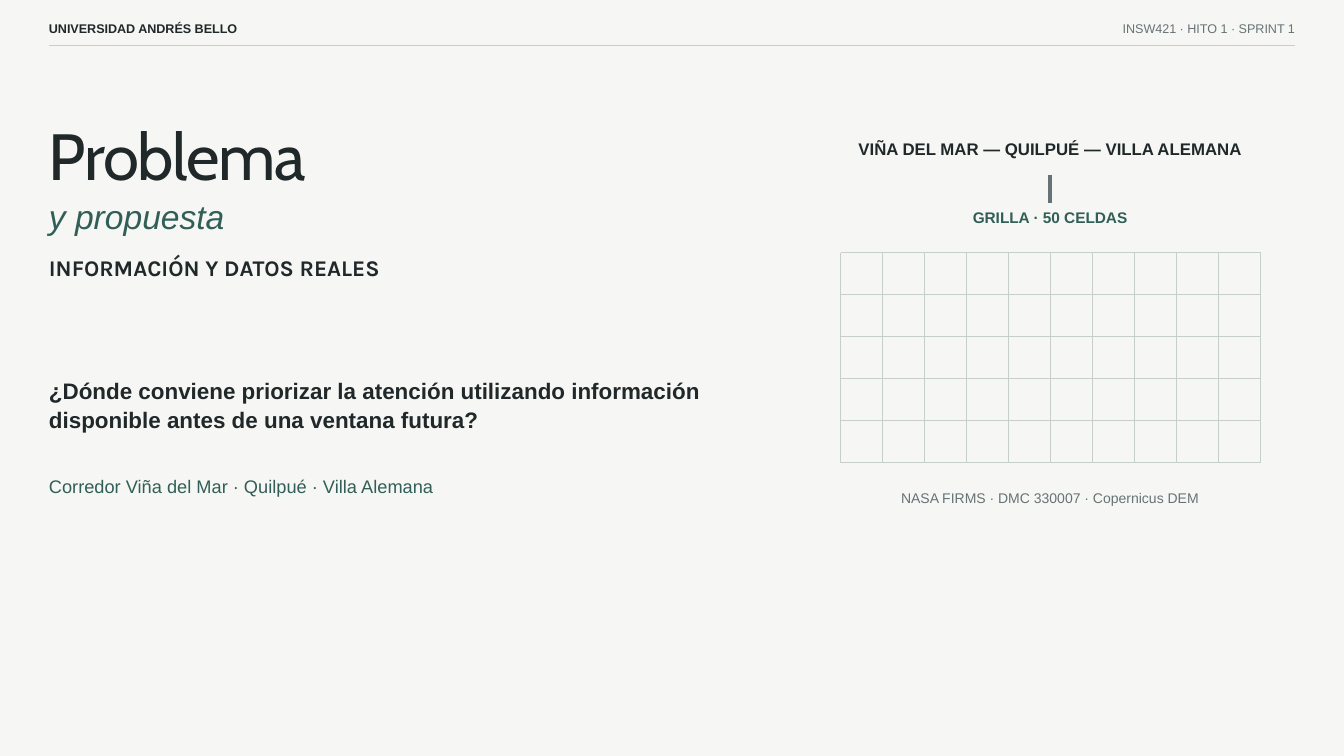
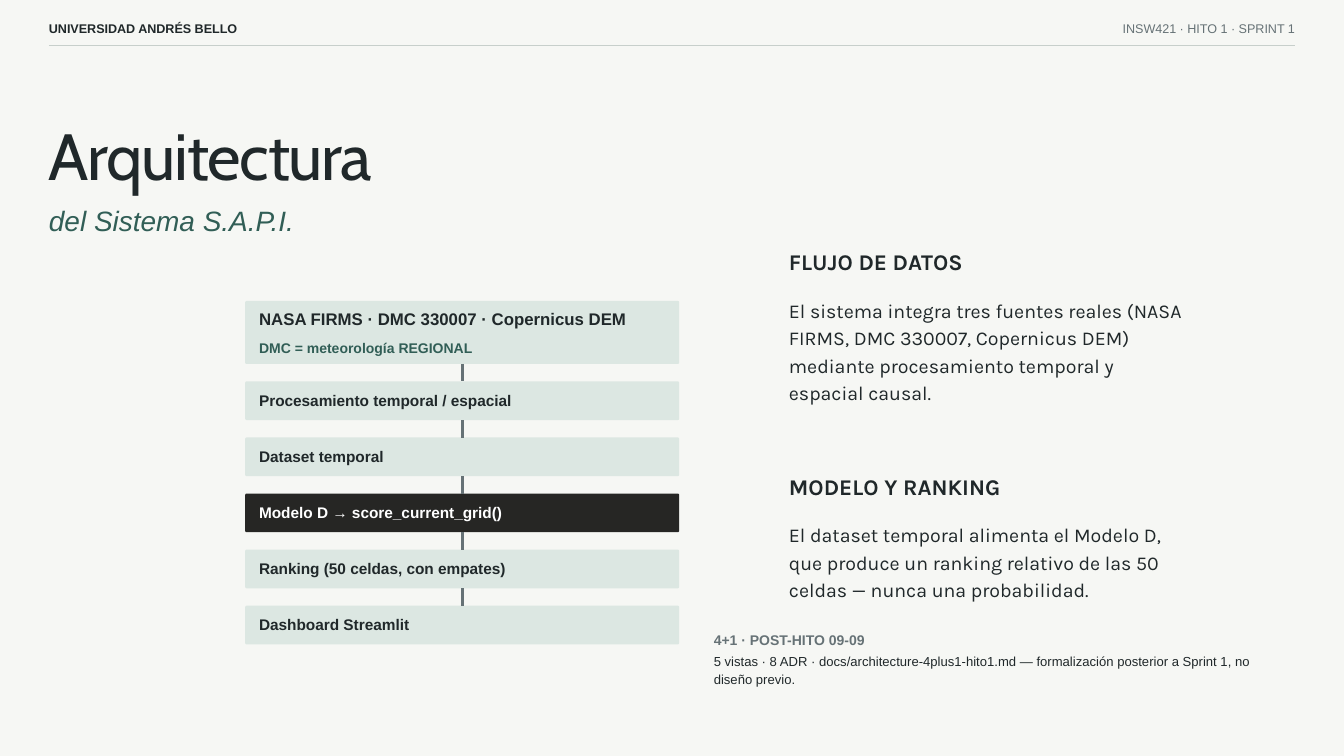
from pptx import Presentation, util as u
from pptx.dml.color import RGBColor
from pptx.enum import shapes, text
from lxml import etree

COLORS = {"paper": "F6F7F4", "ink": "20282A", "green": "315E56", "gray": "667276",
          "rule": "C7CFCB", "mint": "DCE7E2", "dark": "262624", "white": "FFFFFF"}

# name: font, size, color, emphasis (b, i), leading as a multiple of the size
STYLES = {
    "title": ("Cabin", 70, "ink", "", 1.2),
    "subtitle": ("Arial", 36, "green", "i", 1.4),
    "long subtitle": ("Arial", 30, "green", "i", 1.4),
    "heading": ("Karla", 24, "ink", "b", 1.4),
    "body": ("Karla", 21, "ink", "", 1.4),
    "question": ("Arial", 24, "ink", "b", 1.3),
    "place": ("Arial", 19.5, "green", "", 1.4),
    "lead": ("Arial", 18, "ink", "b", 1.4),
    "grid label": ("Arial", 16.5, "green", "b", 1.4),
    "sources": ("Arial", 15, "gray", "", 1.4),
    "lead detail": ("Arial", 15, "green", "b", 1.4),
    "step": ("Arial", 16.5, "ink", "b", 1.4),
    "key step": ("Arial", 16.5, "white", "b", 1.4),
    "note title": ("Arial", 15, "gray", "b", 1.4),
    "note": ("Arial", 14, "ink", "", 1.393),
    "school": ("Arial", 13.5, "ink", "b", 1.4),
    "course": ("Arial", 13.5, "gray", "", 1.4),
}
ALIGN = {"l": text.PP_ALIGN.LEFT, "c": text.PP_ALIGN.CENTER, "r": text.PP_ALIGN.RIGHT}

# All positions and lengths are in centimetres.
SLIDE_W, SLIDE_H = 50.8, 28.58
MARGIN, WIDE = 1.85, 27.13
MAP_X, MAP_W = 30.43, 18.52
ASIDE_X, ASIDE_W = 29.82, 15.14
NOTE_X, NOTE_W = 26.98, 21.17

# text, style, left, top, width, height, alignment
HEADER = [
    ("UNIVERSIDAD ANDRÉS BELLO", "school", MARGIN, 0.69, 13.23, 0.66, "l"),
    ("INSW421 · HITO 1 · SPRINT 1", "course", 35.72, 0.69, 13.23, 0.66, "r"),
]
PROBLEM = [
    ("Problema", "title", MARGIN, 4.34, WIDE, 2.95, "l"),
    ("y propuesta", "subtitle", MARGIN, 7.14, WIDE, 1.78, "l"),
    ("INFORMACIÓN Y DATOS REALES", "heading", MARGIN, 9.42, WIDE, 1.09, "l"),
    ("¿Dónde conviene priorizar la atención utilizando información disponible "
     "antes de una ventana futura?", "question", MARGIN, 14.17, WIDE, 2.18, "l"),
    ("Corredor Viña del Mar · Quilpué · Villa Alemana", "place", MARGIN, 17.83, WIDE, 0.97, "l"),
    ("VIÑA DEL MAR — QUILPUÉ — VILLA ALEMANA", "lead", MAP_X, 5.13, MAP_W, 0.91, "c"),
    ("GRILLA · 50 CELDAS", "grid label", MAP_X, 7.77, MAP_W, 0.84, "c"),
    ("NASA FIRMS · DMC 330007 · Copernicus DEM", "sources", MAP_X, 18.39, MAP_W, 0.76, "c"),
]
ARCHITECTURE = [
    ("Arquitectura", "title", MARGIN, 4.34, 23.11, 2.95, "l"),
    ("del Sistema S.A.P.I.", "long subtitle", MARGIN, 7.47, WIDE, 1.47, "l"),
    ("FLUJO DE DATOS", "heading", ASIDE_X, 9.22, ASIDE_W, 1.09, "l"),
    ("El sistema integra tres fuentes reales (NASA FIRMS, DMC 330007, Copernicus DEM) "
     "mediante procesamiento temporal y espacial causal.",
     "body", ASIDE_X, 11.15, ASIDE_W, 4.04, "l"),
    ("MODELO Y RANKING", "heading", ASIDE_X, 17.7, ASIDE_W, 1.09, "l"),
    ("El dataset temporal alimenta el Modelo D, que produce un ranking relativo "
     "de las 50 celdas — nunca una probabilidad.",
     "body", ASIDE_X, 19.63, ASIDE_W, 3.02, "l"),
    ("4+1 · POST-HITO 09-09", "note title", NOTE_X, 23.75, NOTE_W, 0.97, "l"),
    ("5 vistas · 8 ADR · docs/architecture-4plus1-hito1.md — formalización posterior "
     "a Sprint 1, no diseño previo.", "note", NOTE_X, 24.61, NOTE_W, 1.68, "l"),
]
# fill, height, top inset, lines as (text, style)
STEPS = [("mint", 2.38, 0.15, [("NASA FIRMS · DMC 330007 · Copernicus DEM", "lead"),
                               ("DMC = meteorología REGIONAL", "lead detail")])]
STEPS += [(fill, 1.46, 0.23, [(label, style)]) for label, fill, style in [
    ("Procesamiento temporal / espacial", "mint", "step"),
    ("Dataset temporal", "mint", "step"),
    ("Modelo D → score_current_grid()", "dark", "key step"),
    ("Ranking (50 celdas, con empates)", "mint", "step"),
    ("Dashboard Streamlit", "mint", "step"),
]]
FLOW_X, FLOW_Y, FLOW_W, FLOW_GAP = 9.27, 11.38, 16.4, 0.66
GRID_X, GRID_Y, CELL, COLS, ROWS = 31.78, 9.55, 1.5875, 10, 5  # 1/16 of an inch grid


def rgb(name):
    return RGBColor.from_string(COLORS[name])


def style_paragraph(paragraph, words, style, align="l"):
    family, size, color, emphasis, leading = STYLES[style]
    paragraph.text = words
    paragraph.alignment = ALIGN[align]
    paragraph.line_spacing = u.Pt(size * leading)
    run = paragraph.runs[0]
    run.font.name, run.font.size = family, u.Pt(size)
    run.font.bold, run.font.italic = "b" in emphasis, "i" in emphasis
    run.font.color.rgb = rgb(color)
    if style == "title":
        run._r.get_or_add_rPr().set("spc", "-140")


def set_frame(frame, left=0, top=0):
    frame.word_wrap = True
    frame.vertical_anchor = text.MSO_ANCHOR.TOP
    frame.margin_left, frame.margin_top = u.Cm(left), u.Cm(top)
    frame.margin_right = frame.margin_bottom = 0


def add_texts(slide, entries):
    for words, style, left, top, width, height, align in entries:
        box = slide.shapes.add_textbox(u.Cm(left), u.Cm(top), u.Cm(width), u.Cm(height))
        set_frame(box.text_frame)
        style_paragraph(box.text_frame.paragraphs[0], words, style, align)


def add_line(slide, x1, y1, x2, y2, color, width):
    line = slide.shapes.add_connector(shapes.MSO_CONNECTOR.STRAIGHT,
                                      u.Cm(x1), u.Cm(y1), u.Cm(x2), u.Cm(y2))
    line.line.color.rgb, line.line.width = rgb(color), u.Pt(width)
    etree.SubElement(line._element.spPr,
                     "{http://schemas.openxmlformats.org/drawingml/2006/main}effectLst")
    return line


def add_page(deck, entries):
    """Adds a slide with the shared background and header, then its own texts."""
    slide = deck.slides.add_slide(deck.slide_layouts[6])
    slide.background.fill.solid()
    slide.background.fill.fore_color.rgb = rgb("paper")
    add_line(slide, MARGIN, 1.72, SLIDE_W - MARGIN, 1.72, "rule", 1.5)
    add_texts(slide, HEADER + entries)
    return slide


def add_grid(slide):
    right, bottom = GRID_X + COLS * CELL, GRID_Y + ROWS * CELL
    for col in range(COLS + 1):
        x = GRID_X + col * CELL
        add_line(slide, x, GRID_Y, x, bottom, "rule", 1.5)
    for row in range(ROWS + 1):
        y = GRID_Y + row * CELL
        add_line(slide, GRID_X, y, right, y, "rule", 1.5)
    middle = MAP_X + MAP_W / 2
    add_line(slide, middle, 6.6, middle, 7.67, "gray", 4.5)


def add_flow(slide):
    top, middle, previous = FLOW_Y, FLOW_X + FLOW_W / 2, None
    for fill, height, inset, lines in STEPS:
        step = slide.shapes.add_shape(shapes.MSO_SHAPE.ROUNDED_RECTANGLE, u.Cm(FLOW_X),
                                      u.Cm(top), u.Cm(FLOW_W), u.Cm(height))
        step.adjustments[0] = 0.05 / height
        step.shadow.inherit = False
        step.fill.solid()
        step.fill.fore_color.rgb = rgb(fill)
        step.line.fill.background()
        frame = step.text_frame
        set_frame(frame, 0.51, inset)
        for index, (words, style) in enumerate(lines):
            paragraph = frame.add_paragraph() if index else frame.paragraphs[0]
            style_paragraph(paragraph, words, style)
            if index:
                paragraph.space_before = u.Pt(8)
        if previous:
            link = add_line(slide, middle, top - FLOW_GAP, middle, top, "gray", 3)
            link.begin_connect(previous, 2)
            link.end_connect(step, 0)
        previous = step
        top += height + FLOW_GAP


def main():
    deck = Presentation()
    deck.slide_width, deck.slide_height = u.Cm(SLIDE_W), u.Cm(SLIDE_H)
    add_grid(add_page(deck, PROBLEM))
    add_flow(add_page(deck, ARCHITECTURE))
    deck.save("out.pptx")


if __name__ == "__main__":
    main()
